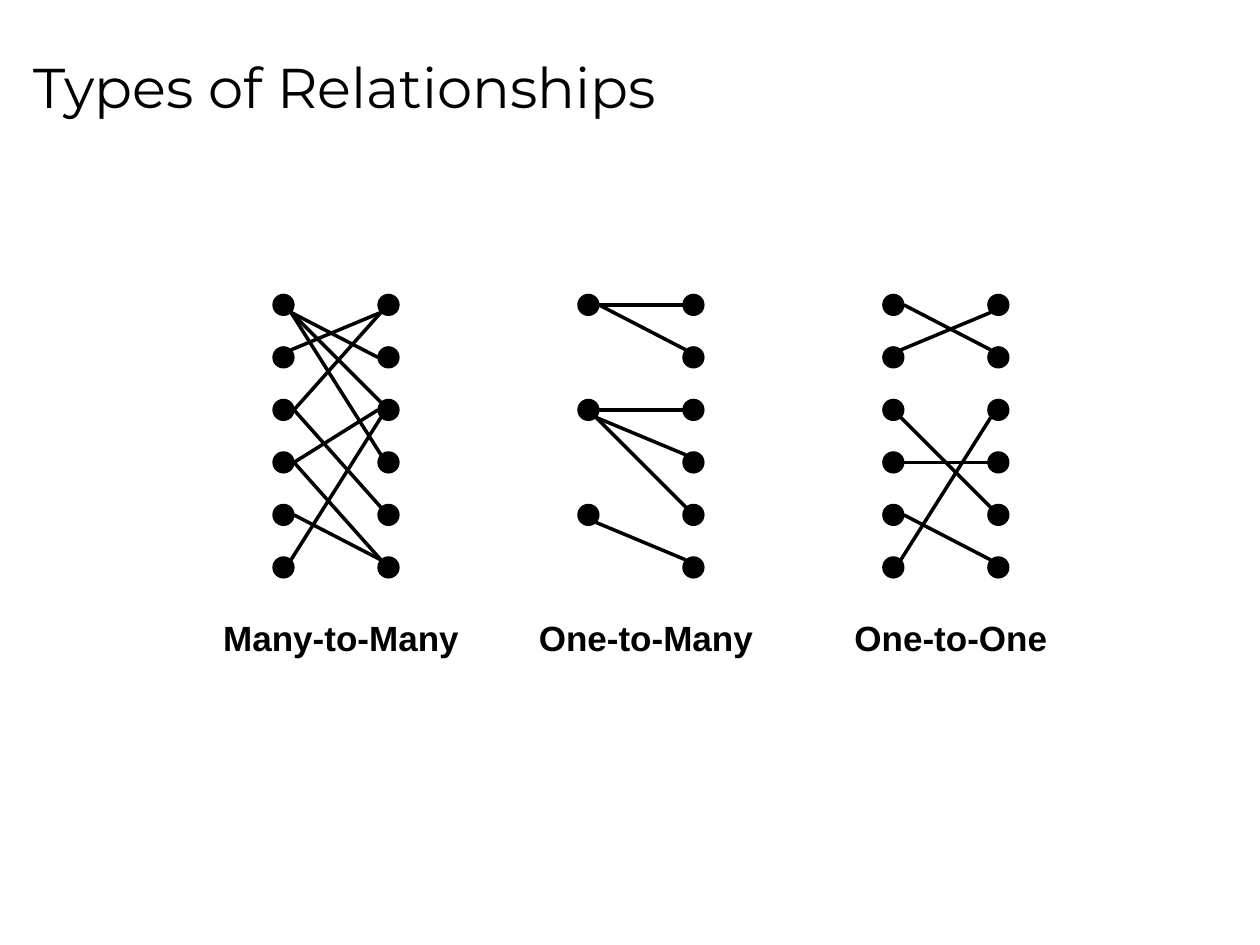
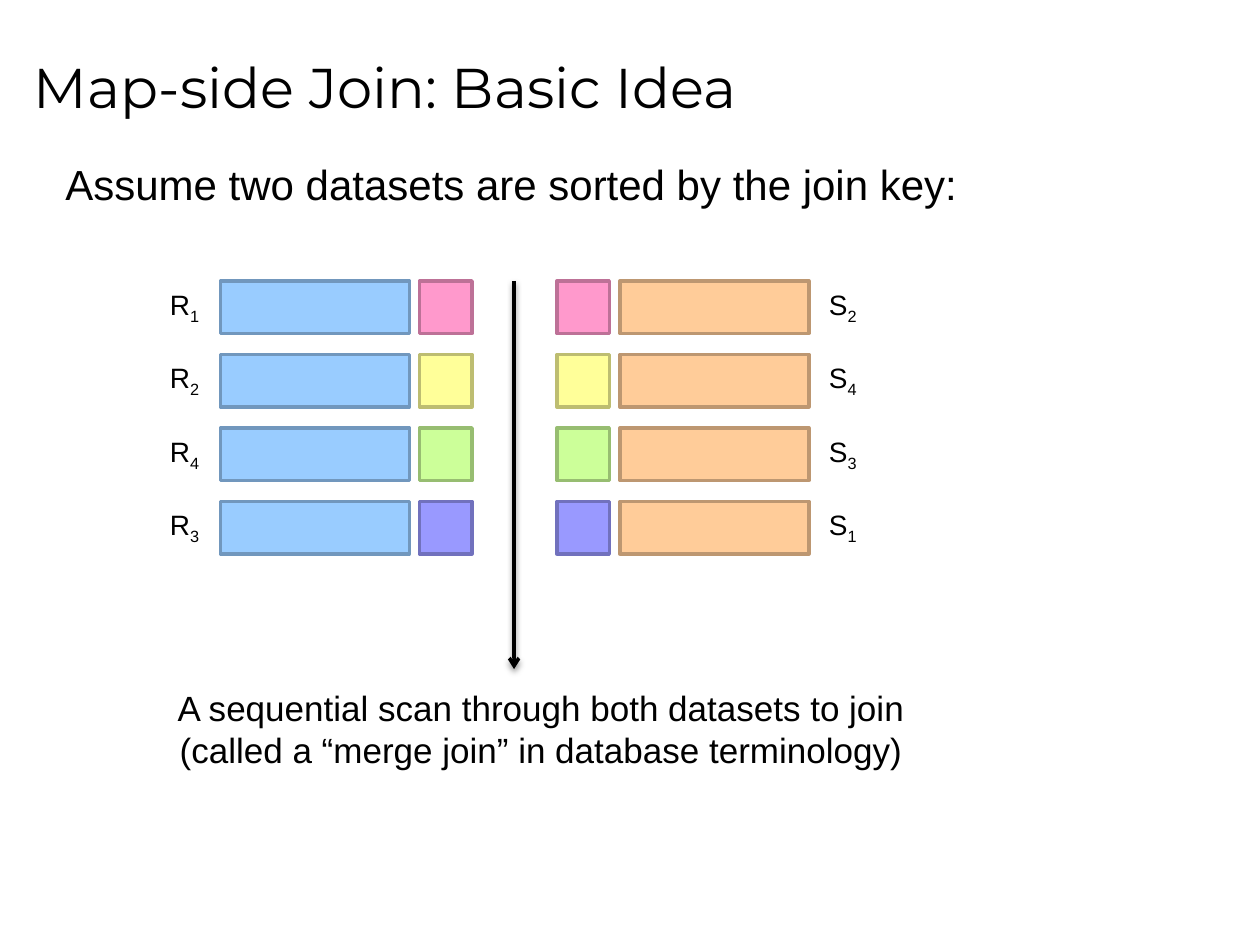
from lxml import etree
from pptx import Presentation, util as u
from pptx.dml.color import RGBColor
from pptx.enum import shapes, text
from pptx.oxml.ns import qn

BLACK = RGBColor(0, 0, 0)
BLUE = RGBColor(0x99, 0xCC, 0xFF)
ORANGE = RGBColor(0xFF, 0xCC, 0x99)
KEYS = [  # one join key colour for each row
    RGBColor(0xFF, 0x99, 0xCC),
    RGBColor(0xFF, 0xFF, 0x99),
    RGBColor(0xCC, 0xFF, 0x99),
    RGBColor(0x99, 0x99, 0xFF),
]
WIDTH, HEIGHT = 10, 7.5

# A link is (left row, side, right row, side);
# a side is -1 for the upper, 0 for the middle, 1 for the lower edge of a dot.
RELATIONS = [
    {"name": "Many-to-Many", "x": 2.25, "left": range(6), "links": [
        (0, 1, 2, -1), (0, 1, 1, 0), (0, 1, 3, -1), (3, 0, 2, 0),
        (5, -1, 2, 1), (2, 0, 0, 1), (2, 0, 4, -1), (4, 0, 5, -1),
        (3, 0, 5, -1), (1, -1, 0, 1)]},
    {"name": "One-to-Many", "x": 4.67, "left": range(0, 6, 2), "links": [
        (0, 0, 0, 0), (0, 0, 1, -1), (2, 0, 2, 0), (2, 1, 3, -1),
        (2, 1, 4, -1), (4, 1, 5, -1)]},
    {"name": "One-to-One", "x": 7.09, "left": range(6), "links": [
        (0, 0, 1, -1), (1, -1, 0, 1), (4, 0, 5, -1), (3, 0, 3, 0),
        (2, 1, 4, -1), (5, -1, 2, 1)]},
]
DOT = 1 / 6
DOT_TOP, DOT_STEP, DOT_GAP = 2.42, 5 / 12, 5 / 6

# Every set: letter, row order, then left edges of label, bar and key
SETS = [
    {"letter": "R", "order": "1243", "fill": BLUE,
     "label": 1.25, "bar": 1.75, "key": 3.33},
    {"letter": "S", "order": "2431", "fill": ORANGE,
     "label": 6.48, "bar": 4.92, "key": 4.42},
]
ROW_TOP, ROW_STEP, KEY, BAR = 2.23, 7 / 12, 5 / 12, 1.5
INTRO = "Assume two datasets are sorted by the join key:"
SCAN = ("A sequential scan through both datasets to join\n"
        "(called a “merge join” in database terminology)")


def box(parts, words, x, y, w, h, size=20, font="Arial", bold=False,
        align=text.PP_ALIGN.LEFT, anchor=text.MSO_ANCHOR.TOP, sub=""):
    """Add a text box; sub is set as a subscript after the words."""
    frame = parts.add_textbox(*map(u.Inches, (x, y, w, h))).text_frame
    frame.word_wrap = True
    frame.vertical_anchor = anchor
    para = frame.paragraphs[0]
    para.alignment = align

    def put(piece):
        run = para.add_run()
        run.text = piece
        run.font.name, run.font.size = font, u.Pt(size)
        run.font.bold = bold
        run.font.color.rgb = BLACK
        return run

    for n, piece in enumerate(words.split("\n")):
        if n:
            para.add_line_break()
        put(piece)
    if sub:
        put(sub)._r.get_or_add_rPr().set("baseline", "-25000")


def shape(parts, kind, x, y, w, h, fill, edge, width):
    item = parts.add_shape(kind, *map(u.Inches, (x, y, w, h)))
    item.shadow.inherit = False
    item.fill.solid()
    item.fill.fore_color.rgb = fill
    item.line.color.rgb = edge
    item.line.width = u.Pt(width)


def line(parts, start, end, arrow=False):
    """Add a line; an arrow also gets a head and a soft shadow below."""
    item = parts.add_connector(shapes.MSO_CONNECTOR.STRAIGHT,
                               *map(u.Inches, (*start, *end)))
    item.line.color.rgb = BLACK
    item.line.width = u.Pt(2)
    if arrow:
        etree.SubElement(item.line._get_or_add_ln(), qn("a:tailEnd"),
                         type="arrow")
    effect = etree.SubElement(item._element.spPr, qn("a:effectLst"))
    if arrow:
        shade = etree.SubElement(
            effect, qn("a:outerShdw"), blurRad=str(u.Pt(3.1)),
            dist=str(u.Pt(1.6)), dir="5400000", rotWithShape="0")
        tint = etree.SubElement(shade, qn("a:srgbClr"), val=str(BLACK))
        etree.SubElement(tint, qn("a:alpha"), val="38000")


def dark(fill):
    return RGBColor(*(int(part * 0.742) for part in fill))


def page(deck, title):
    """Add a blank slide with the shared title and return its shapes."""
    parts = deck.slides.add_slide(deck.slide_layouts[6]).shapes
    box(parts, title, 0.17, 0.12, 0.95 * WIDTH, 0.15 * HEIGHT, size=32,
        font="Montserrat", anchor=text.MSO_ANCHOR.MIDDLE)
    return parts


def site(x, row, side, way):
    """Point on the rim of a dot; way is 1 for its right, -1 for its left."""
    reach = DOT / 2 * (0.71 if side else 1)
    return x + way * reach, DOT_TOP + row * DOT_STEP + side * reach


def relate(deck):
    parts = page(deck, "Types of Relationships")
    for rel in RELATIONS:
        near, far = rel["x"], rel["x"] + DOT_GAP
        box(parts, rel["name"], (near + far) / 2 - 1, 4.84, 2.08, 0.43,
            bold=True, align=text.PP_ALIGN.CENTER)
        for x, rows in ((near, rel["left"]), (far, range(6))):
            for row in rows:
                shape(parts, shapes.MSO_SHAPE.OVAL, x - DOT / 2,
                      DOT_TOP + row * DOT_STEP - DOT / 2, DOT, DOT,
                      BLACK, BLACK, 0.75)
        for a, exit, b, entry in rel["links"]:
            line(parts, site(near, a, exit, 1), site(far, b, entry, -1))


def join(deck):
    parts = page(deck, "Map-side Join: Basic Idea")
    box(parts, INTRO, 0.42, 1.21, 9.25, 0.5, size=24)
    for data in SETS:
        for row, (num, key) in enumerate(zip(data["order"], KEYS)):
            y = ROW_TOP + row * ROW_STEP
            group = parts.add_group_shape().shapes
            for x, w, fill in ((data["bar"], BAR, data["fill"]),
                               (data["key"], KEY, key)):
                shape(group, shapes.MSO_SHAPE.RECTANGLE, x, y, w, KEY,
                      fill, dark(fill), 2)
            box(group, data["letter"], data["label"], y, 0.45, 0.37,
                size=16, sub=num)
    line(parts, (4.08, ROW_TOP), (4.08, 5.31), arrow=True)
    box(parts, SCAN, 1.17, 5.4, 6.25, 0.77, align=text.PP_ALIGN.CENTER)


def main():
    deck = Presentation()
    deck.slide_width, deck.slide_height = u.Inches(WIDTH), u.Inches(HEIGHT)
    relate(deck)
    join(deck)
    deck.save("out.pptx")


if __name__ == "__main__":
    main()
